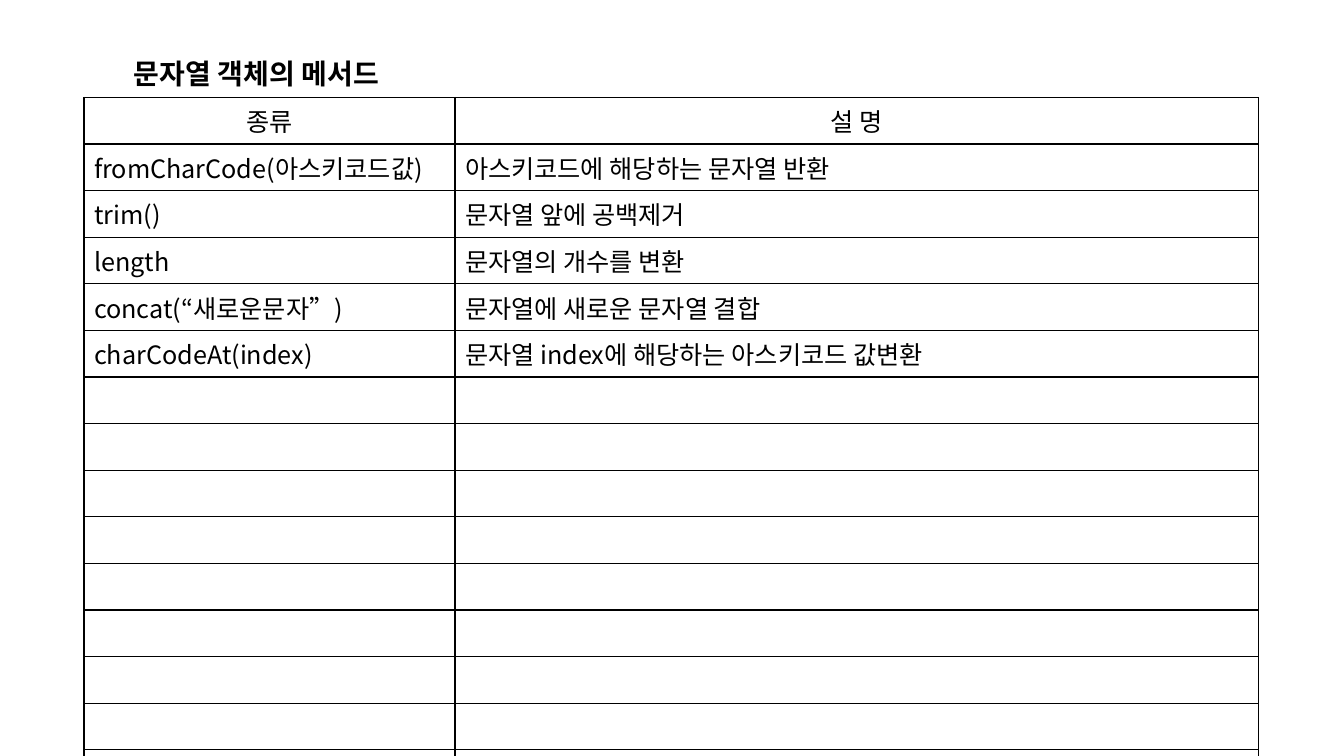
from pptx import Presentation
from pptx.dml.color import RGBColor
from pptx.enum.text import MSO_ANCHOR, MSO_AUTO_SIZE, PP_ALIGN
from pptx.oxml.ns import qn
from pptx.util import Pt
from lxml.etree import SubElement

BLACK = RGBColor(0, 0, 0)
FONT = "Noto Sans CJK KR"
ROW_COUNT = 15
ROW_HEIGHT = 33.3
COLUMN_WIDTHS = (265, 573.8)
HEADINGS = ("종류", "설 명")
METHODS = (
    ("fromCharCode(아스키코드값)", "아스키코드에 해당하는 문자열 반환"),
    ("trim()", "문자열 앞에 공백제거"),
    ("length", "문자열의 개수를 변환"),
    ("concat(“새로운문자”)", "문자열에 새로운 문자열 결합"),
    ("charCodeAt(index)", "문자열 index에 해당하는 아스키코드 값변환"),
)


def add_span(para, text, size, bold=False):
    """Add one black run in the slide font."""
    span = para.add_run()
    span.text = text
    span.font.size = Pt(size)
    span.font.bold = bold
    span.font.name = FONT
    span.font.color.rgb = BLACK
    SubElement(span.font._element, qn("a:ea"), typeface=FONT)


def add_title(page, text):
    """Add the bold heading above the table."""
    box = page.shapes.add_textbox(Pt(88.6), Pt(36.7), Pt(210), Pt(31.5))
    box.text_frame.word_wrap = False
    box.text_frame.auto_size = MSO_AUTO_SIZE.SHAPE_TO_FIT_TEXT
    add_span(box.text_frame.paragraphs[0], text, 20, bold=True)


def outline_cell(cell):
    """Clear the fill of a cell and draw its four borders."""
    props = cell._tc.get_or_add_tcPr()
    for side in ("lnL", "lnR", "lnT", "lnB"):
        border = SubElement(props, qn(f"a:{side}"), w=str(Pt(1)))
        fill = SubElement(border, qn("a:solidFill"))
        SubElement(fill, qn("a:srgbClr"), val=str(BLACK))
    cell.fill.background()


def add_method_table(page):
    """Add the method table, leaving the rows after the last method empty."""
    frame = page.shapes.add_table(
        ROW_COUNT, len(COLUMN_WIDTHS), Pt(60), Pt(69.6),
        Pt(sum(COLUMN_WIDTHS)), Pt(ROW_COUNT * ROW_HEIGHT))
    table = frame.table
    table.first_row = table.horz_banding = False
    for column, width in zip(table.columns, COLUMN_WIDTHS):
        column.width = Pt(width)
    for row in table.rows:
        row.height = Pt(ROW_HEIGHT)
    for cell in table.iter_cells():
        outline_cell(cell)
        cell.vertical_anchor = MSO_ANCHOR.TOP
    for row, texts in zip(table.rows, (HEADINGS, *METHODS)):
        for cell, text in zip(row.cells, texts):
            para = cell.text_frame.paragraphs[0]
            if texts is HEADINGS:
                para.alignment = PP_ALIGN.CENTER
            add_span(para, text, 18)


def main():
    """Build the slide and save it."""
    deck = Presentation()
    deck.slide_width, deck.slide_height = Pt(960), Pt(540)
    page = deck.slides.add_slide(deck.slide_layouts[6])
    add_method_table(page)
    add_title(page, "문자열 객체의 메서드")
    deck.save("out.pptx")


if __name__ == "__main__":
    main()
